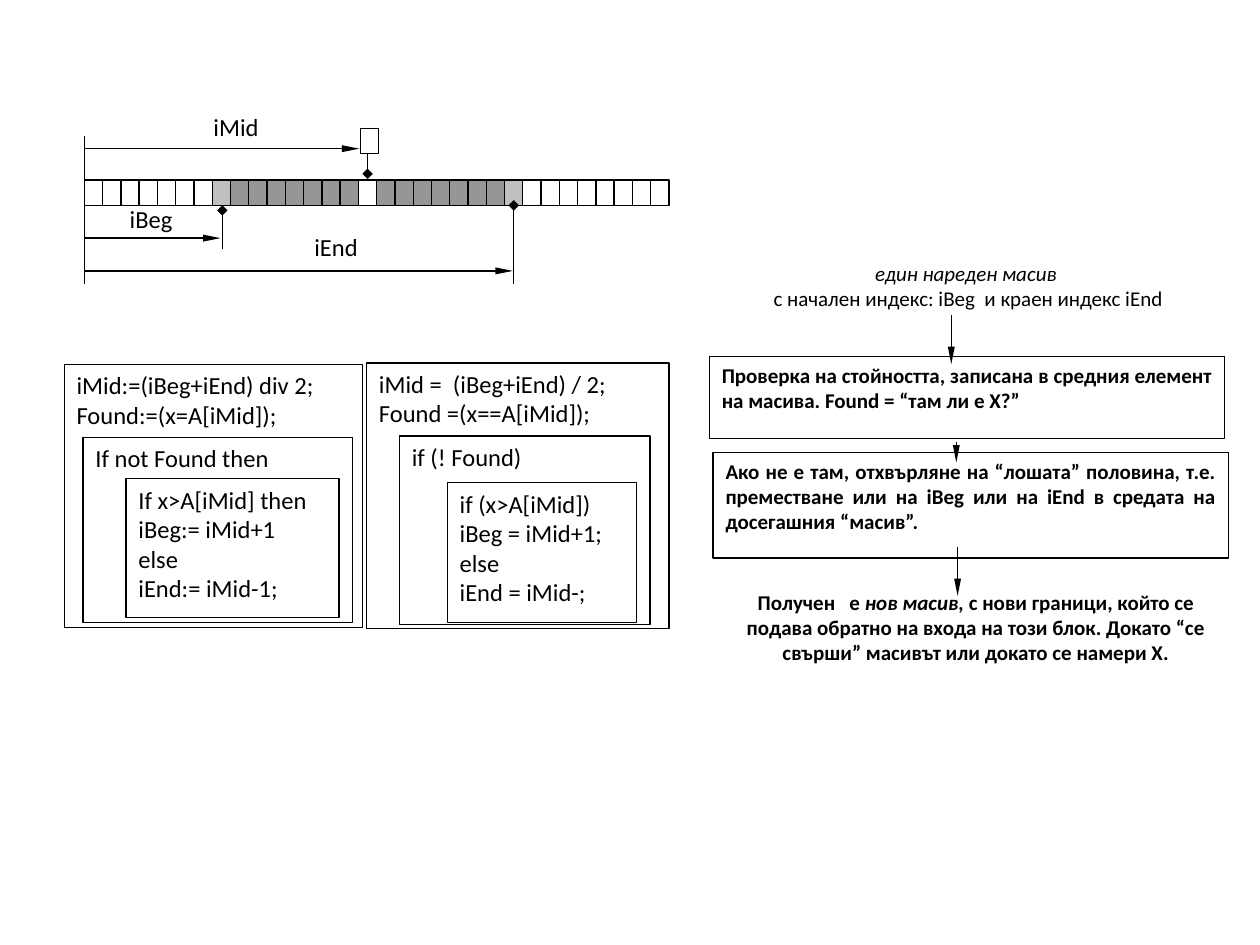
from dataclasses import dataclass

from lxml import etree
from pptx import Presentation
from pptx import util as u
from pptx.dml.color import RGBColor
from pptx.enum import shapes, text
from pptx.oxml.ns import qn


@dataclass(frozen=True)
class Theme:
    """Colours, font, type sizes and line width."""
    ink: str = "000000"
    paper: str = "FFFFFF"
    edge: str = "C0C0C0"
    span: str = "969696"
    font: str = "Calibri"
    code: int = 14
    note: int = 12
    line: float = 0.75


@dataclass(frozen=True)
class Grid:
    """An origin with column and row sizes in inches."""
    left: float
    top: float
    col: float = 0.1
    row: float = 0.1

    def point(self, x, y):
        """Return the slide position of a grid point."""
        return u.Inches(self.left + x * self.col), u.Inches(self.top + y * self.row)

    def box(self, x, y, w, h):
        """Return the slide position and size of a grid box."""
        return *self.point(x, y), u.Inches(w * self.col), u.Inches(h * self.row)


THEME = Theme()
ALIGN = text.PP_ALIGN


def rgb(value):
    """Turn a hex string into a colour."""
    return RGBColor.from_string(value)


def write(sp, paragraphs, size, align):
    """Fill a shape with paragraphs made of (text, bold, italic) runs."""
    tf = sp.text_frame
    tf.word_wrap = True
    tf.vertical_anchor = text.MSO_ANCHOR.TOP
    for i, runs in enumerate(paragraphs):
        p = tf.add_paragraph() if i else tf.paragraphs[0]
        p.alignment = align
        for words, bold, italic in runs:
            r = p.add_run()
            r.text = words
            r.font.name, r.font.size = THEME.font, u.Pt(size)
            r.font.bold, r.font.italic = bold, italic
            r.font.color.rgb = rgb(THEME.ink)


def add_label(s, box, paragraphs, size=THEME.code, align=ALIGN.CENTER):
    """Add text without a frame."""
    write(s.shapes.add_textbox(*box), paragraphs, size, align)


def add_box(s, box, paragraphs=(), size=THEME.code, align=ALIGN.LEFT, fill=THEME.paper):
    """Add an outlined rectangle, with text if there is any."""
    sp = s.shapes.add_shape(shapes.MSO_SHAPE.RECTANGLE, *box)
    sp.shadow.inherit = False
    sp.fill.solid()
    sp.fill.fore_color.rgb = rgb(fill)
    sp.line.color.rgb = rgb(THEME.ink)
    sp.line.width = u.Pt(THEME.line)
    write(sp, paragraphs, size, align)


def add_line(s, start, end, tip=None, width="sm", length="lg"):
    """Add a straight line with an optional tip at its end."""
    c = s.shapes.add_connector(shapes.MSO_CONNECTOR.STRAIGHT, *start, *end)
    c.line.color.rgb = rgb(THEME.ink)
    c.line.width = u.Pt(THEME.line)
    if tip:
        etree.SubElement(c.line._get_or_add_ln(), qn("a:tailEnd"),
                         type=tip, w=width, len=length)
    etree.SubElement(c._element.spPr, qn("a:effectLst"))


def array_diagram(s, g, count=32, beg=7, mid=15, end=23):
    """Draw the array cells, the index distances and their markers."""
    for name, box in (("iEnd", (7.4, 9.6, 12.75, 4)),
                      ("iBeg", (0, 7.4, 7.3, 3.8)),
                      ("iMid", (1.65, 0.1, 13.3, 3.6))):
        add_label(s, g.box(*box), [[(name, False, False)]])
    for i in range(count):
        fill = THEME.paper
        if i in (beg, end):
            fill = THEME.edge
        elif beg < i < end and i != mid:
            fill = THEME.span
        add_box(s, g.box(i, 6, 1, 2), fill=fill)
    for x, start, stop in ((mid + 0.5, 2.1, 5.5), (beg + 0.55, 11.5, 8.4),
                           (end + 0.5, 14.2, 8)):
        add_line(s, g.point(x, start), g.point(x, stop), "diamond", "med", "med")
    add_box(s, g.box(mid + 0.1, 1.9, 1, 2))
    add_line(s, g.point(0, 2.5), g.point(0, 14.2))
    for x, y in ((end + 0.45, 13.2), (beg + 0.45, 10.6), (mid + 0.05, 3.5)):
        add_line(s, g.point(0, y), g.point(x, y), "triangle")


def code_panel(s, g, blocks):
    """Draw nested code boxes, outermost first."""
    for box, lines in blocks:
        add_box(s, g.box(*box), [[(line, False, False)] for line in lines])


def search_flow(s, g, width=40.9):
    """Draw the steps of the search from the input array to the new one."""
    add_label(s, g.box(0.1, 0, width, 5.5), [
        [("един нареден масив ", False, True)],
        [("с начален индекс: iBeg  и краен индекс iEnd", False, False)],
    ], THEME.note)
    for x, y, h, words in (
        (0, 8.1, 6.5, "Проверка на стойността, записана в средния елемент "
                      "на масива. Found = “там ли е Х?”"),
        (0.3, 15.7, 8.4, "Ако не е там, отхвърляне на “лошата” половина, т.е. "
                         "преместване или на iBeg или на iEnd в средата на "
                         "досегашния “масив”."),
    ):
        add_box(s, g.box(x, y, width, h), [[(words, True, False)]],
                THEME.note, ALIGN.JUSTIFY)
    add_label(s, g.box(0.7, 26.1, width, 8.3), [[
        ("Получен   е ", True, False),
        ("нов масив,", True, True),
        (" с нови граници, който се подава обратно на входа на този блок. "
         "Докато “се свърши” масивът или докато се намери Х.", True, False),
    ]], THEME.note)
    for x, start, stop in ((19.2, 4.8, 8.7), (19.6, 14.9, 16.5), (19.7, 23.2, 27.1)):
        add_line(s, g.point(x, start), g.point(x, stop), "triangle")


def main():
    """Build the binary search slide."""
    prs = Presentation()
    prs.slide_width, prs.slide_height = u.Inches(10), u.Inches(7.5)
    s = prs.slides.add_slide(prs.slide_layouts[6])
    array_diagram(s, Grid(0.67, 0.83, col=0.145))
    code_panel(s, Grid(0.51, 2.89), (
        ((0, 0, 23.7, 20.9), ("iMid:=(iBeg+iEnd) div 2; ", "Found:=(x=A[iMid]); ")),
        ((1.5, 5.8, 21.4, 14.7), ("If not Found then",)),
        ((4.9, 9.1, 16.9, 11), ("If x>A[iMid] then", "iBeg:= iMid+1", "else",
                                "iEnd:= iMid-1;")),
    ))
    code_panel(s, Grid(2.91, 2.88), (
        ((0, 0, 24, 21.1), ("iMid =  (iBeg+iEnd) / 2; ", "Found =(x==A[iMid]); ")),
        ((2.6, 5.8, 19.9, 15), ("if (! Found) ",)),
        ((6.4, 9.5, 15, 11.1), ("if (x>A[iMid]) ", "iBeg = iMid+1;", "else",
                                "iEnd = iMid-;")),
    ))
    search_flow(s, Grid(5.63, 2.02))
    prs.save("out.pptx")


main()
